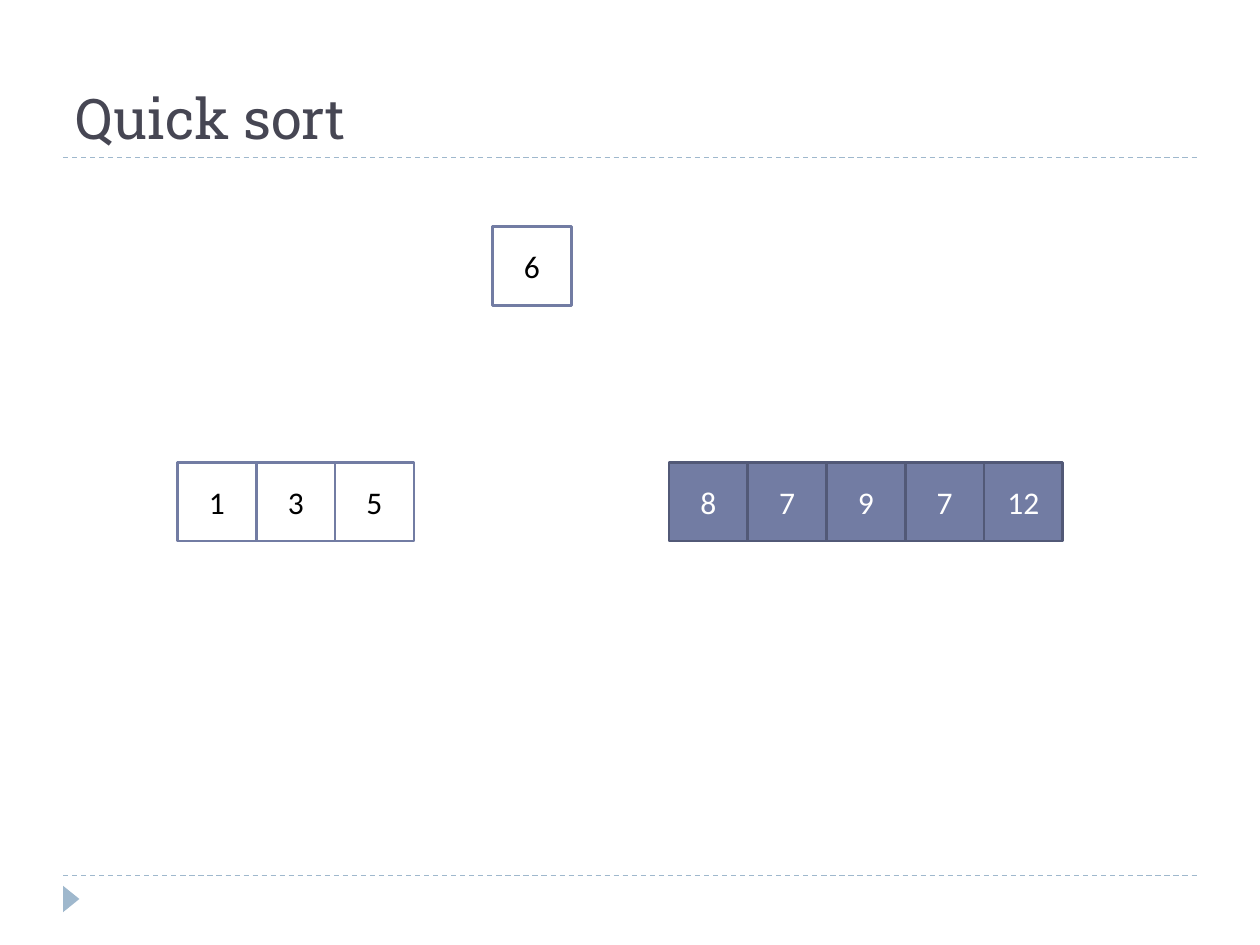
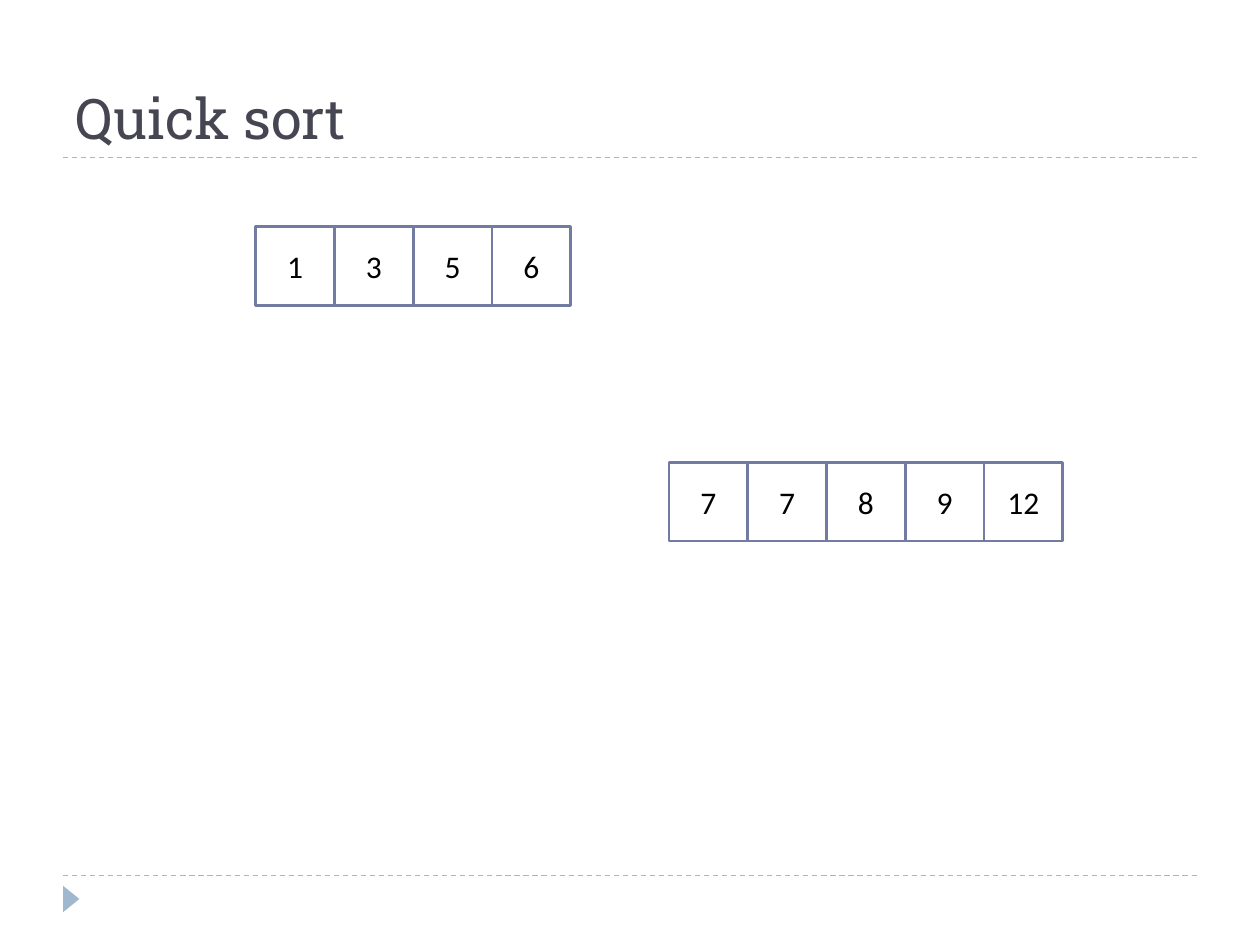
from dataclasses import dataclass

from lxml.etree import SubElement as Sub
from pptx import Presentation
from pptx.dml.color import RGBColor as Rgb
from pptx.enum.dml import MSO_LINE as Dash
from pptx.enum.shapes import MSO_CONNECTOR as Conn, MSO_SHAPE as Geo
from pptx.enum.text import MSO_ANCHOR as Anchor, MSO_AUTO_SIZE as Fit, PP_ALIGN as Align
from pptx.oxml.ns import qn
from pptx.util import Inches, Pt


@dataclass(frozen=True)
class Theme:
    title: str = "464653"
    trim: str = "9FB8CD"
    head: str = "Roboto Slab"
    body: str = "Calibri"
    head_size: int = 32
    body_size: int = 18
    rule: float = 0.75
    edge: float = 1.5


THEME = Theme()

# Cell looks: fill, outline, text
SORTED = ("FFFFFF", "727CA3", "000000")
OPEN = ("727CA3", "525977", "FFFFFF")

# Array grid: side of a cell and tops of the two levels
SIDE = 5 / 8
UPPER, LOWER = 1.8, 3.67

# Each row: left, top, look, values
STEPS = [
    [(3.91, UPPER, SORTED, [6]),
     (1.41, LOWER, SORTED, [1, 3, 5]),
     (5.31, LOWER, OPEN, [8, 7, 9, 7, 12])],
    [(2.03, UPPER, SORTED, [1, 3, 5, 6]),
     (5.31, LOWER, SORTED, [7, 7, 8, 9, 12])],
]


def apply(item, values):
    for name, value in values.items():
        setattr(item, name, value)


def write(shape, text, font, size, color, align, anchor):
    frame = shape.text_frame
    frame.text = text
    apply(frame, {"vertical_anchor": anchor, "auto_size": Fit.NONE,
                  "word_wrap": True})
    para = frame.paragraphs[0]
    para.alignment = align
    apply(para.font, {"name": font, "size": Pt(size)})
    para.font.color.rgb = Rgb.from_string(color)


def add_solid(slide, kind, box, fill):
    shape = slide.shapes.add_shape(kind, *map(Inches, box))
    shape.shadow.inherit = False
    shape.fill.solid()
    shape.fill.fore_color.rgb = Rgb.from_string(fill)
    return shape


def add_rule(slide, top):
    rule = slide.shapes.add_connector(
        Conn.STRAIGHT, Inches(0.5), Inches(top), Inches(9.5), Inches(top))
    apply(rule.line, {"width": Pt(THEME.rule), "dash_style": Dash.DASH})
    rule.line.color.rgb = Rgb.from_string(THEME.trim)
    Sub(rule.element.spPr, qn("a:effectLst"))


def add_frame(slide):
    # Dashed rules and the footer marker
    for top in (6.95, 1.25):
        add_rule(slide, top)
    mark = add_solid(slide, Geo.ISOSCELES_TRIANGLE,
                     (0.46, 7.07, 0.21, 0.13), THEME.trim)
    mark.rotation = 90
    mark.line.fill.background()


def add_title(slide, text):
    title = slide.shapes.title
    apply(title, {"left": Inches(0.5), "top": Inches(0.17),
                  "width": Inches(9), "height": Inches(1.08)})
    write(title, text, THEME.head, THEME.head_size, THEME.title,
          Align.LEFT, Anchor.BOTTOM)


def add_row(slide, left, top, look, values):
    fill, edge, ink = look
    for i, value in enumerate(values):
        cell = add_solid(slide, Geo.RECTANGLE,
                         (left + i * SIDE, top, SIDE, SIDE), fill)
        cell.line.width = Pt(THEME.edge)
        cell.line.color.rgb = Rgb.from_string(edge)
        write(cell, str(value), THEME.body, THEME.body_size, ink,
              Align.CENTER, Anchor.MIDDLE)


def main():
    deck = Presentation()
    apply(deck, {"slide_width": Inches(10), "slide_height": Inches(7.5)})
    for rows in STEPS:
        slide = deck.slides.add_slide(deck.slide_layouts[5])
        add_frame(slide)
        add_title(slide, "Quick sort")
        for row in rows:
            add_row(slide, *row)
    deck.save("out.pptx")


if __name__ == "__main__":
    main()
